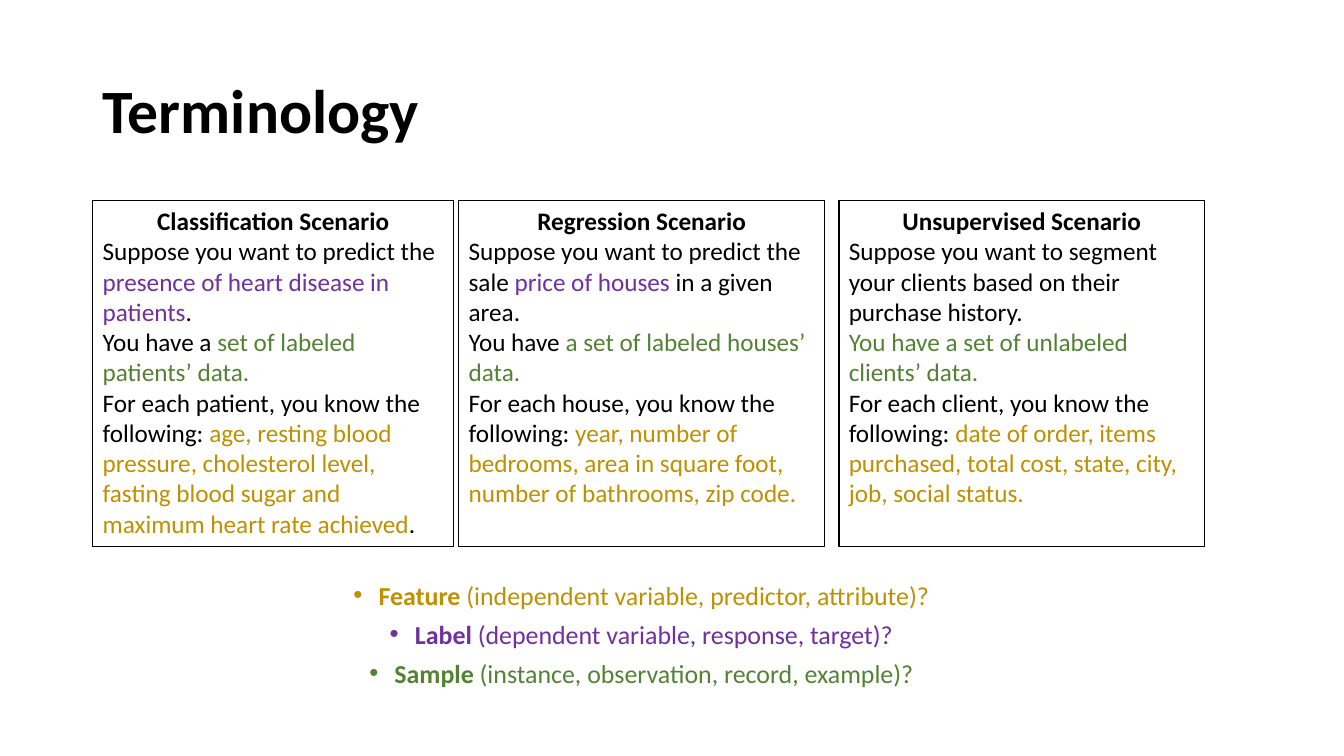
from pptx import Presentation
from pptx.dml.color import RGBColor
from pptx.enum.shapes import MSO_SHAPE
from pptx.enum.text import MSO_ANCHOR, MSO_AUTO_SIZE, PP_ALIGN
from pptx.util import Pt

PX = 9144  # 100 px to the inch
FONT = "Calibri"
BLACK = RGBColor(0x00, 0x00, 0x00)
GOLD = RGBColor(0xBF, 0x90, 0x00)
PURPLE = RGBColor(0x70, 0x30, 0xA0)
GREEN = RGBColor(0x54, 0x82, 0x35)
RECTANGLE = MSO_SHAPE.RECTANGLE
MIDDLE = MSO_ANCHOR.MIDDLE
NO_AUTOFIT = MSO_AUTO_SIZE.NONE
LEFT, CENTER = PP_ALIGN.LEFT, PP_ALIGN.CENTER

# Left edge, width, heading, then paragraphs of (text, colour) runs
SCENARIOS = [
    (92, 358, "Classification Scenario", [
        [("Suppose you want to predict the ", BLACK),
         ("presence of heart disease in patients", PURPLE), (".", BLACK)],
        [("You have a ", BLACK), ("set of labeled patients’ data.", GREEN)],
        [("For each patient, you know the following: ", BLACK),
         ("age, resting blood pressure, cholesterol level, fasting blood sugar "
          "and maximum heart rate achieved", GOLD), (".", BLACK)],
    ]),
    (455, 363, "Regression Scenario", [
        [("Suppose you want to predict the sale ", BLACK),
         ("price of houses ", PURPLE), ("in a given area.", BLACK)],
        [("You have ", BLACK), ("a set of labeled houses’ data.", GREEN)],
        [("For each house, you know the following: ", BLACK),
         ("year, number of bedrooms, area in square foot, "
          "number of bathrooms, zip code.", GOLD)],
    ]),
    (832, 363, "Unsupervised Scenario", [
        [("Suppose you want to segment your clients based on their "
          "purchase history.", BLACK)],
        [("You have a set of unlabeled clients’ data.", GREEN)],
        [("For each client, you know the following: ", BLACK),
         ("date of order, items purchased, total cost, state, city, "
          "job, social status.", GOLD)],
    ]),
]
TERMS = [
    ("Feature", " (independent variable, predictor, attribute)?", GOLD),
    ("Label", " (dependent variable, response, target)?", PURPLE),
    ("Sample", " (instance, observation, record, example)?", GREEN),
]


def place(shape, left, top, width, height):
    shape.left, shape.top = left * PX, top * PX
    shape.width, shape.height = width * PX, height * PX


def add_paragraph(frame, index, size, alignment):
    paragraph = frame.add_paragraph() if index else frame.paragraphs[0]
    paragraph.alignment = alignment
    paragraph.font.name = FONT
    paragraph.font.size = Pt(size)
    return paragraph


presentation = Presentation()
presentation.slide_width, presentation.slide_height = 1333 * PX, 750 * PX
slide = presentation.slides.add_slide(presentation.slide_layouts[1])
title, body = slide.placeholders

# Title
place(title, 92, 40, 1150, 145)
title.text_frame.auto_size = NO_AUTOFIT
title.text_frame.vertical_anchor = MIDDLE
paragraph = add_paragraph(title.text_frame, 0, 44, LEFT)
paragraph.text = "Terminology"
paragraph.line_spacing = 0.9
paragraph.font.bold = True
paragraph.font.color.rgb = BLACK

# Terms to match with the scenarios
place(body, 61, 576, 1150, 116)
body.text_frame.auto_size = NO_AUTOFIT
for index, (term, synonyms, color) in enumerate(TERMS):
    paragraph = add_paragraph(body.text_frame, index, 18.5, CENTER)
    paragraph.line_spacing = 0.8
    paragraph.space_before = Pt(10 if index else 0)
    paragraph.font.color.rgb = color
    properties = paragraph._p.get_or_add_pPr()
    properties.set("marL", str(25 * PX))
    properties.set("indent", str(-25 * PX))
    for text, bold in ((term, True), (synonyms, False)):
        run = paragraph.add_run()
        run.text = text
        run.font.bold = bold
        run.font.color.rgb = color

# Scenario boxes
for left, width, heading, paragraphs in SCENARIOS:
    box = slide.shapes.add_shape(
        RECTANGLE, left * PX, 199 * PX, width * PX, 343 * PX)
    box.shadow.inherit = False
    box.fill.background()
    box.line.color.rgb = BLACK
    box.line.width = Pt(1)
    frame = box.text_frame
    frame.word_wrap = True
    frame.vertical_anchor = MSO_ANCHOR.TOP
    paragraph = add_paragraph(frame, 0, 18, CENTER)
    paragraph.text = heading
    paragraph.font.bold = True
    paragraph.font.color.rgb = BLACK
    for index, runs in enumerate(paragraphs, start=1):
        paragraph = add_paragraph(frame, index, 18, LEFT)
        for text, color in runs:
            run = paragraph.add_run()
            run.text = text
            run.font.color.rgb = color

presentation.save("out.pptx")
